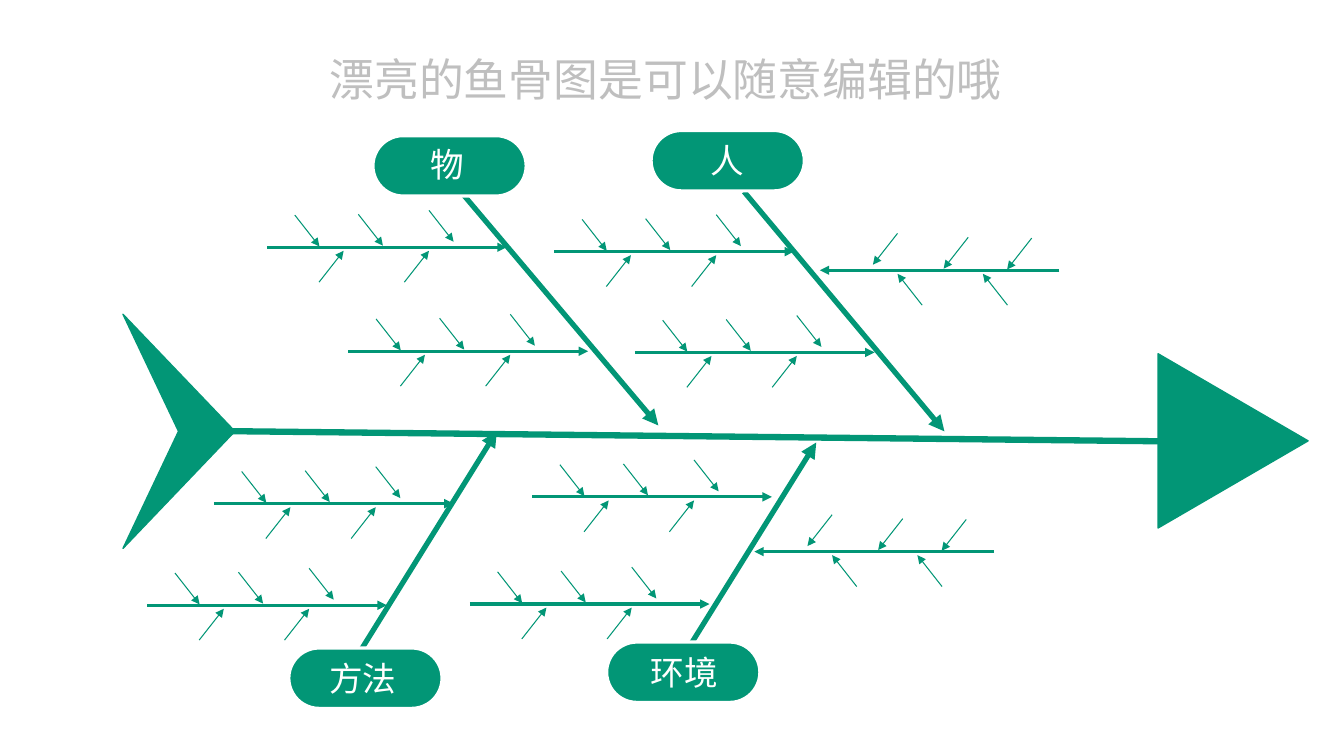
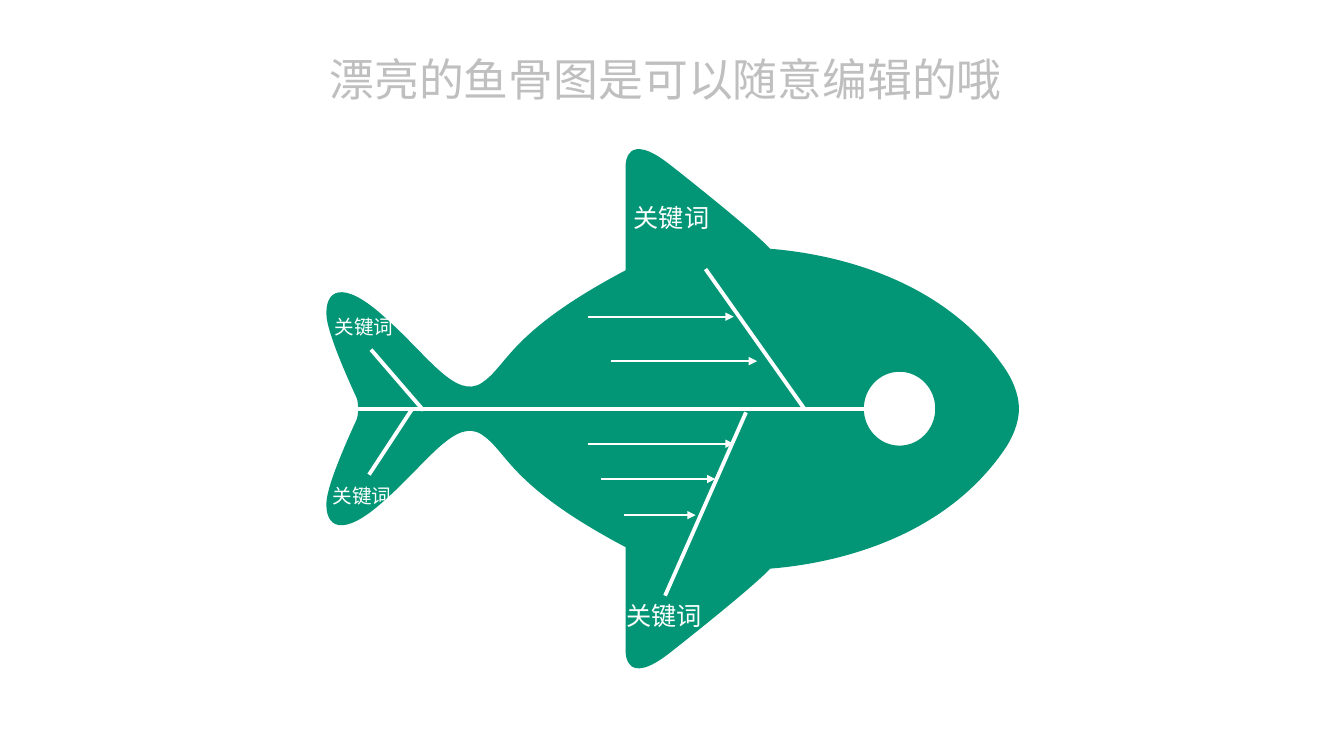
import pptx
import pptx.dml.color
import pptx.enum.shapes
import pptx.enum.text
import pptx.oxml.ns
import pptx.util
from lxml import etree

Cm = pptx.util.Cm
Pt = pptx.util.Pt
SHAPE = pptx.enum.shapes.MSO_SHAPE
qualified = pptx.oxml.ns.qn

COLOURS = {"fish": "029676", "light": "FFFFFF", "title": "BFBFBF"}
FONT = "Noto Sans CJK SC"
TITLE = "漂亮的鱼骨图是可以随意编辑的哦"
TITLE_BOX = (8.05, 1.17, 17.6, 1.63)
FRAME_FORMAT = {
    "word_wrap": False,
    "auto_size": pptx.enum.text.MSO_AUTO_SIZE.SHAPE_TO_FIT_TEXT,
    "vertical_anchor": pptx.enum.text.MSO_ANCHOR.TOP,
}

# Lengths below are centimetres.
TAIL = [(3.1, 7.92), (5.92, 10.87), (3.1, 13.82), (4.5, 10.87)]
BONES = [
    ((18.75, 4.83), (23.8, 10.87)),
    ((16.84, 17.15), (20.57, 11.15)),
    ((11.35, 4.52), (16.59, 10.72)),
    ((8.81, 16.84), (12.52, 10.87)),
]
PILL_SIZE = (3.86, 1.52)
# Text, pill corner, label box, label fill
CAUSES = [
    ("人", (16.41, 3.29), (17.65, 3.4, 1.37, 1.28), "fish"),
    ("物", (9.4, 3.42), (10.59, 3.51, 1.37, 1.28), "fish"),
    ("环境", (15.29, 16.18), (16.15, 16.31, 2.24, 2.31), None),
    ("方法", (7.28, 16.33), (8.05, 16.46, 2.24, 1.28), "fish"),
]
TWIG_LENGTH = 6.04
BARB_WIDTH, BARB_HEIGHT = 0.62, 0.79
BARB_STARTS = [(4.08, -0.93), (2.3, -0.83), (0.7, -0.81), (3.46, 0.88), (1.31, 0.88)]
RIGHTWARD_TWIGS = [
    (6.73, 6.23), (8.78, 8.85), (13.97, 6.34), (16, 8.88),
    (5.39, 12.69), (3.71, 15.25), (13.41, 12.52), (11.84, 15.22),
]
LEFTWARD_TWIGS = [(25.05, 13.9), (26.7, 6.81)]

AXIS = 10.3
# The start of the outline, then three points for each Bézier curve
UPPER_FISH = [
    (25.68, AXIS),
    (25.68, 9.93), (25.5, 9.53), (25.3, 9.25),
    (23.75, 7.01), (21.03, 6.4), (19.41, 6.27),
    (18.95, 5.77), (16.87, 4.14), (16.87, 4.14),
    (15.77, 3.28), (15.77, 4.14), (15.77, 4.14),
    (15.77, 6.81), (15.77, 6.81), (15.77, 6.81),
    (12.8, 8.38), (12.8, 9.22), (12.14, 9.65),
    (11.48, 10.08), (10.77, 8.94), (9.68, 7.98),
    (8.61, 7.01), (8.18, 7.32), (8.23, 7.98),
    (8.28, 8.46), (8.76, 9.53), (8.99, 10.03),
]
TAIL_NOTCH = [(9.04, 10.17), (9.04, 10.43)]
EYE_CENTRE = 22.67
LEFT_EYE = [
    (EYE_CENTRE, 11.23),
    (22.17, 11.23), (21.77, 10.81), (21.77, AXIS),
    (21.77, 9.79), (22.17, 9.37), (EYE_CENTRE, 9.37),
]
WHITE_BONES = [
    ((21.77, AXIS), (8.99, AXIS)),
    ((20.27, AXIS), (17.78, 6.78)),
    ((16.76, 15.01), (18.8, 10.39)),
    ((9.3, 11.96), (10.39, AXIS)),
    ((10.67, 10.34), (9.35, 8.81)),
]
WHITE_ARROWS = [
    (14.81, 18.49, 7.98),
    (15.39, 19.08, 9.1),
    (14.81, 18.49, 11.18),
    (15.15, 18.03, 12.07),
    (15.72, 17.53, 12.98),
]
KEYWORDS = [
    ((15.72, 4.98, 2.44, 1.02), 18),
    ((15.54, 15.01, 2.44, 1.02), 18),
    ((8.18, 7.81, 2.01, 0.86), 14),
    ((8.13, 12.07, 2.01, 0.86), 14),
]


def colour(name):
    return pptx.dml.color.RGBColor.from_string(COLOURS[name])


def lengths(values):
    return [Cm(value) for value in values]


def set_text(shape, text, size, colour_name):
    frame = shape.text_frame
    for name, value in FRAME_FORMAT.items():
        setattr(frame, name, value)
    paragraph = frame.paragraphs[0]
    paragraph.alignment = pptx.enum.text.PP_ALIGN.LEFT
    run = paragraph.add_run()
    run.text = text
    for name, value in {"name": FONT, "size": Pt(size)}.items():
        setattr(run.font, name, value)
    run.font.color.rgb = colour(colour_name)
    latin = run.font._element.find(qualified("a:latin"))
    latin.addnext(etree.Element(qualified("a:ea"), typeface=FONT))


def add_text(shapes, text, box, size, fill=None):
    shape = shapes.add_textbox(*lengths(box))
    set_text(shape, text, size, "light")
    if fill:
        shape.fill.solid()
        shape.fill.fore_color.rgb = colour(fill)


def paint(shape, fill, line=None, width=1):
    shape.shadow.inherit = False
    shape.fill.solid()
    shape.fill.fore_color.rgb = colour(fill)
    if line:
        shape.line.color.rgb = colour(line)
        shape.line.width = Pt(width)
    else:
        shape.line.fill.background()


def add_preset(shapes, preset, box, fill, line=None, width=1):
    shape = shapes.add_shape(preset, *lengths(box))
    paint(shape, fill, line, width)
    return shape


def add_outline(shapes, contours, fill, line=None):
    """Draw closed contours as one shape, so that an inner one is a hole."""
    builder = None
    for contour in contours:
        start, *others = [lengths(point) for point in contour]
        if builder is None:
            builder = shapes.build_freeform(*start)
        else:
            builder.move_to(*start)
        builder.add_line_segments(others, close=True)
    shape = builder.convert_to_shape()
    paint(shape, fill, line)
    return shape


def bend(shape):
    """Turn every three straight segments of an outline into one Bézier curve."""
    segments = list(shape._element.iter(qualified("a:lnTo")))
    for first in range(0, len(segments), 3):
        curve = etree.Element(qualified("a:cubicBezTo"))
        segments[first].addprevious(curve)
        for segment in segments[first:first + 3]:
            curve.append(segment[0])
            segment.getparent().remove(segment)


def add_line(shapes, start, end, colour_name, width, arrow=False):
    connector = shapes.add_connector(
        pptx.enum.shapes.MSO_CONNECTOR.STRAIGHT, *lengths(start + end)
    )
    connector.line.color.rgb = colour(colour_name)
    connector.line.width = Pt(width)
    properties = connector._element.spPr
    if arrow:
        line = properties.find(qualified("a:ln"))
        etree.SubElement(line, qualified("a:tailEnd"), type="triangle")
    etree.SubElement(properties, qualified("a:effectLst"))


def add_twig(slide, left, top, direction):
    """Group a horizontal arrow with its barbs; direction is 1 or -1."""
    shapes = slide.shapes.add_group_shape().shapes
    end = (left + direction * TWIG_LENGTH, top)
    add_line(shapes, (left, top), end, "fish", 2.25, arrow=True)
    for across, down in BARB_STARTS:
        start = (left + direction * across, top + down)
        rise = BARB_HEIGHT if down < 0 else -BARB_HEIGHT
        end = (start[0] + direction * BARB_WIDTH, start[1] + rise)
        add_line(shapes, start, end, "fish", 0.75, arrow=True)


def add_cause(slide, text, corner, label_box, label_fill):
    shapes = slide.shapes.add_group_shape().shapes
    pill = add_preset(
        shapes, SHAPE.ROUNDED_RECTANGLE, corner + PILL_SIZE, "fish", "light", 2.25
    )
    pill.adjustments[0] = 0.5
    add_text(shapes, text, label_box, 24, label_fill)


def add_spine(slide):
    shapes = slide.shapes.add_group_shape().shapes
    head = add_preset(
        shapes, SHAPE.ISOSCELES_TRIANGLE, (28.88, 9.22, 4.39, 3.78), "fish", "fish"
    )
    head.rotation = 90
    add_line(shapes, (29.18, 11.12), (5.38, 10.86), "fish", 4.5)
    add_outline(shapes, [TAIL], "fish", "fish")


def add_titled_slide(presentation):
    slide = presentation.slides.add_slide(presentation.slide_layouts[5])
    title = slide.shapes.title
    names = ("left", "top", "width", "height")
    for name, value in zip(names, lengths(TITLE_BOX)):
        setattr(title, name, value)
    set_text(title, TITLE, 32, "title")
    return slide


def add_skeleton_slide(presentation):
    slide = add_titled_slide(presentation)
    add_spine(slide)
    for start, end in BONES:
        add_line(slide.shapes, start, end, "fish", 3.75, arrow=True)
    for direction, twigs in ((1, RIGHTWARD_TWIGS), (-1, LEFTWARD_TWIGS)):
        for left, top in twigs:
            add_twig(slide, left, top, direction)
    for cause in CAUSES:
        add_cause(slide, *cause)


def add_whole_fish_slide(presentation):
    slide = add_titled_slide(presentation)
    lower_fish = [(x, 2 * AXIS - y) for x, y in reversed(UPPER_FISH)]
    right_eye = [(2 * EYE_CENTRE - x, y) for x, y in reversed(LEFT_EYE[:-1])]
    contours = [UPPER_FISH + TAIL_NOTCH + lower_fish, LEFT_EYE + right_eye]
    bend(add_outline(slide.shapes, contours, "fish"))
    for start, end in WHITE_BONES:
        add_line(slide.shapes, start, end, "light", 2.75)
    for left, right, top in WHITE_ARROWS:
        add_line(slide.shapes, (left, top), (right, top), "light", 1.25, arrow=True)
    for box, size in KEYWORDS:
        add_text(slide.shapes, "关键词", box, size)


def main():
    presentation = pptx.Presentation()
    presentation.slide_width = Cm(33.87)
    presentation.slide_height = Cm(19.05)
    add_skeleton_slide(presentation)
    add_whole_fish_slide(presentation)
    presentation.save("out.pptx")


if __name__ == "__main__":
    main()
